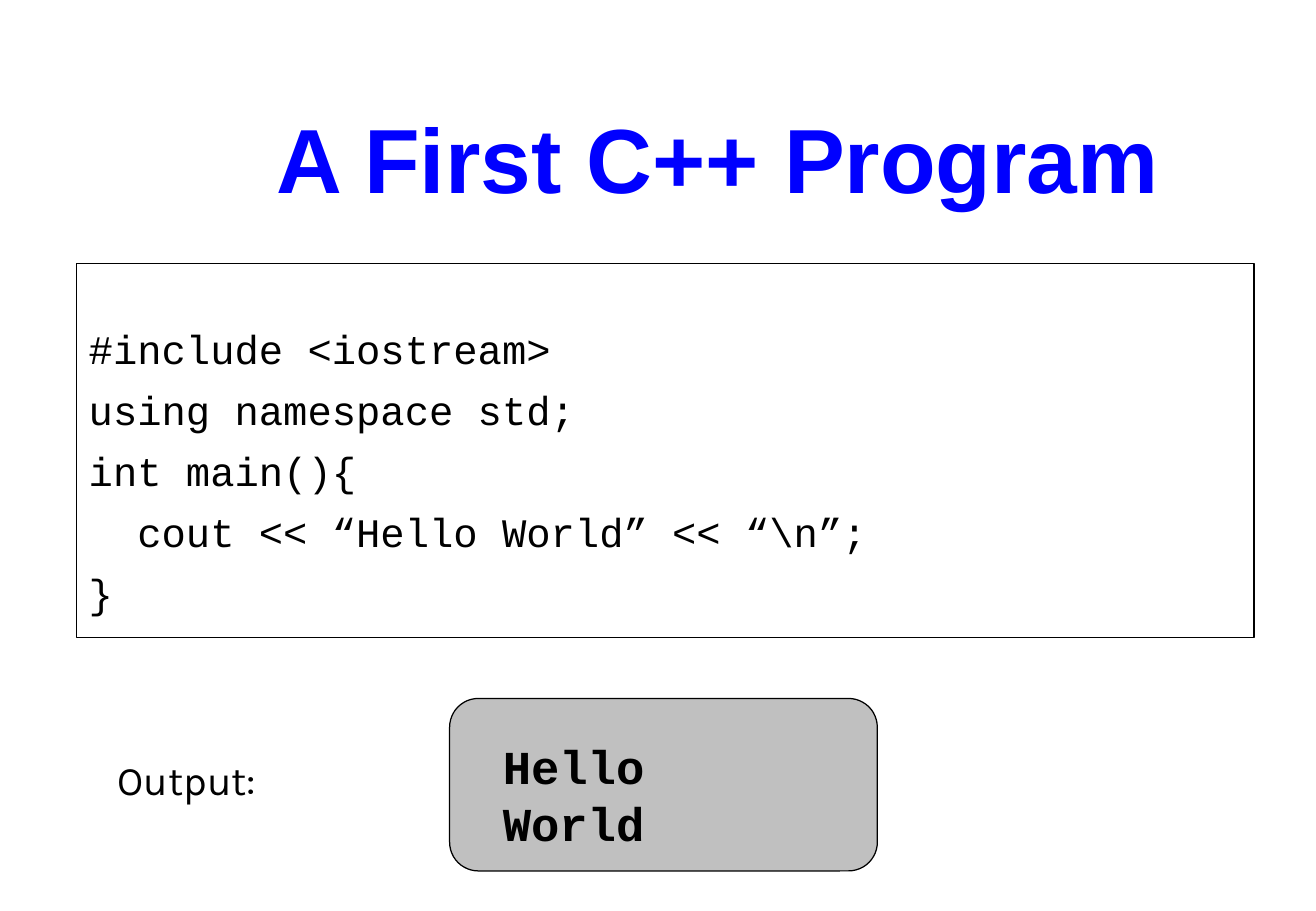
from dataclasses import dataclass

from lxml.etree import SubElement
from pptx import Presentation
from pptx.dml.color import RGBColor
from pptx.enum.shapes import MSO_SHAPE
from pptx.enum.text import MSO_ANCHOR, MSO_AUTO_SIZE, PP_ALIGN
from pptx.oxml.ns import qn
from pptx.util import Inches, Pt

BLACK = "000000"
CODE_FONT = "Courier New"
CODE_LINES = [
    "#include <iostream>",
    "using namespace std;",
    "int main(){",
    "  cout << “Hello World” << “\\n”;",
    "}",
]


@dataclass
class Box:
    left: float
    top: float
    width: float
    height: float

    def lengths(self) -> tuple:
        return tuple(Inches(n) for n in (self.left, self.top, self.width, self.height))


@dataclass
class Label:
    text: str
    box: Box
    font: str
    size: float
    bold: bool = False


LABELS = [
    Label("Output:", Box(0.87, 6.17, 1.41, 0.5), "Karla", 24),
    Label("Hello World", Box(4.04, 6.02, 2.76, 0.57), CODE_FONT, 28, bold=True),
]


def color(value: str) -> RGBColor:
    return RGBColor.from_string(value)


def place(shape, box: Box) -> None:
    shape.left, shape.top, shape.width, shape.height = box.lengths()


def outline(shape) -> None:
    shape.line.color.rgb = color(BLACK)
    shape.line.width = Pt(0.75)


def write(paragraph, text: str, *, font: str, size: float, ink: str = BLACK,
          bold: bool = False, align=PP_ALIGN.LEFT, before: float = 0) -> None:
    paragraph.alignment = align
    paragraph.space_before = Pt(before)
    run = paragraph.add_run()
    run.text = text
    run.font.name = font
    run.font.size = Pt(size)
    run.font.bold = bold
    run.font.color.rgb = color(ink)


def add_title(title) -> None:
    place(title, Box(0.81, 0.67, 9.2, 1.25))
    frame = title.text_frame
    frame.auto_size = MSO_AUTO_SIZE.NONE
    frame.vertical_anchor = MSO_ANCHOR.MIDDLE
    frame.margin_left = Inches(1.1)
    write(frame.paragraphs[0], "A First C++ Program", font="Arial", size=54,
          ink="0000FF", bold=True, align=PP_ALIGN.CENTER)


def add_code(body) -> None:
    place(body, Box(0.63, 2.17, 9.69, 3.08))
    outline(body)
    frame = body.text_frame
    frame.auto_size = MSO_AUTO_SIZE.NONE
    frame.margin_top = Inches(0.5)
    for number, line in enumerate(CODE_LINES):
        paragraph = frame.add_paragraph() if number else frame.paragraphs[0]
        write(paragraph, line, font=CODE_FONT, size=24, before=7.3)
        properties = paragraph._p.get_or_add_pPr()
        properties.set("marL", "0")
        properties.set("indent", "0")
        SubElement(properties, qn("a:buNone"))


def add_output_panel(slide) -> None:
    panel = slide.shapes.add_shape(
        MSO_SHAPE.ROUNDED_RECTANGLE, *Box(3.7, 5.75, 3.52, 1.42).lengths())
    panel.shadow.inherit = False
    panel.fill.solid()
    panel.fill.fore_color.rgb = color("C0C0C0")
    outline(panel)


def add_label(slide, label: Label) -> None:
    frame = slide.shapes.add_textbox(*label.box.lengths()).text_frame
    frame.word_wrap = False
    write(frame.paragraphs[0], label.text, font=label.font, size=label.size,
          bold=label.bold)


def main() -> None:
    deck = Presentation()
    deck.slide_width = Inches(10.83)
    deck.slide_height = Inches(7.5)
    slide = deck.slides.add_slide(deck.slide_layouts[1])
    add_title(slide.shapes.title)
    add_code(slide.placeholders[1])
    add_output_panel(slide)
    for label in LABELS:
        add_label(slide, label)
    deck.save("out.pptx")


if __name__ == "__main__":
    main()
